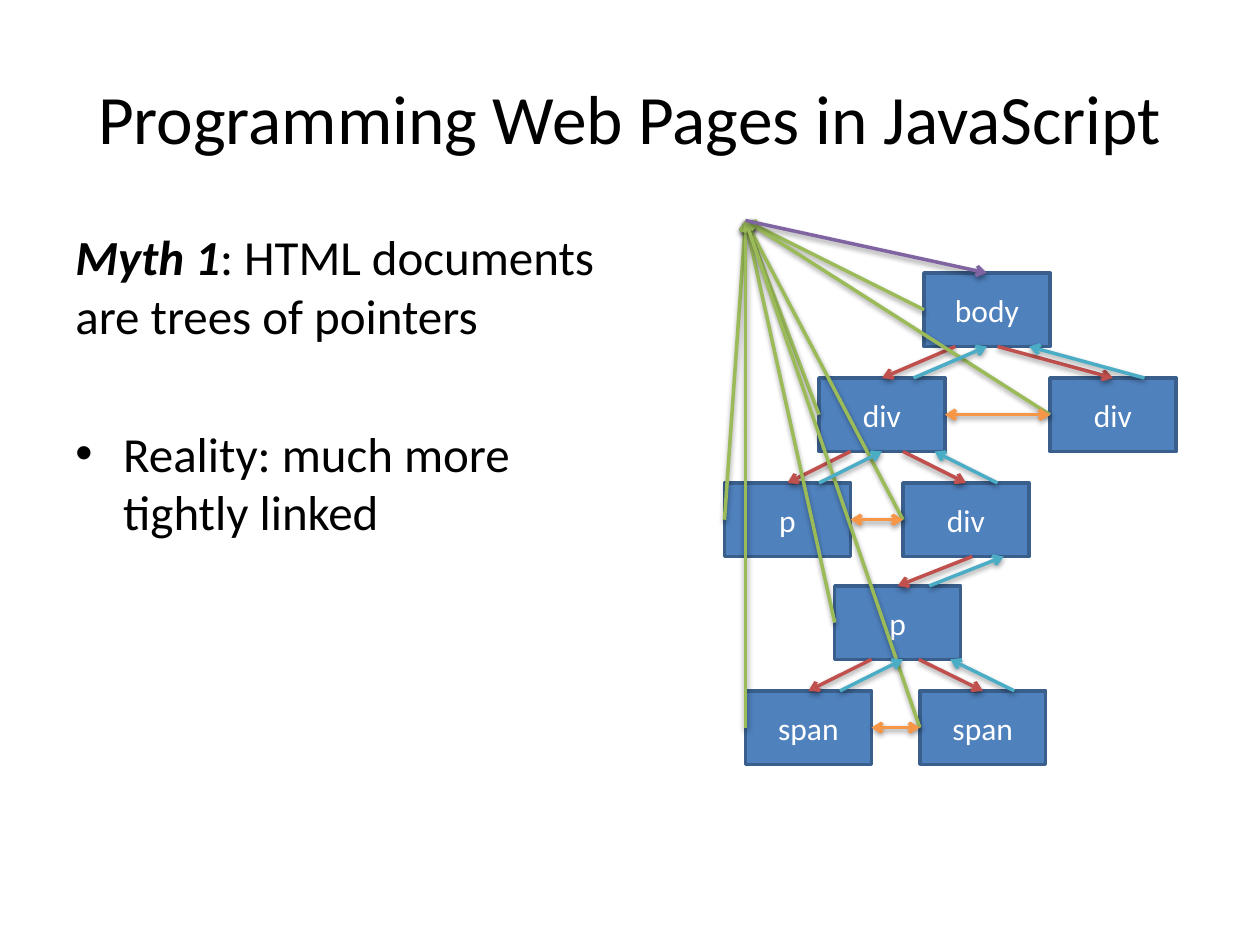
from lxml.etree import SubElement as Sub
from pptx import Presentation
from pptx.dml.color import RGBColor as RGB
from pptx.enum.shapes import MSO_CONNECTOR as LINE, MSO_SHAPE as SHAPE
from pptx.enum.text import MSO_ANCHOR as ANCHOR, PP_ALIGN as ALIGN
from pptx.oxml.ns import qn
from pptx.util import Inches, Pt

COLS, ROWS = 120, 90  # grid over the whole slide
BOX_W, BOX_H = 12, 7
ROOT = (71, 21)  # where all owner links meet
SIDE = 3  # gap from a child link to its parent link
COLORS = {
    "text": "000000", "label": "FFFFFF", "box": "4F81BD", "edge": "3A5F8C",
    "child": "C0504D", "parent": "4BACC6", "owner": "9BBB59",
    "next": "F79646", "start": "8064A2",
}

# name: label, column, row
NODES = {
    "body": ("body", 88, 26),
    "div1": ("div", 78, 36), "div2": ("div", 100, 36),
    "p1": ("p", 69, 46), "div3": ("div", 86, 46),
    "p2": ("p", 79.5, 55.8),
    "span1": ("span", 71, 65.8), "span2": ("span", 87.6, 65.8),
}
# parent, child, columns from the parent's left edge
TREE = [
    ("body", "div1", 3), ("body", "div2", 7),
    ("div1", "p1", 3), ("div1", "div3", 8),
    ("div3", "p2", 6.6),
    ("p2", "span1", 3.5), ("p2", "span2", 8),
]
PEERS = [("div1", "div2"), ("p1", "div3"), ("span1", "span2")]


def tint(name):
    return RGB.from_string(COLORS[name])


def cells(prs, x, y):
    return round(prs.slide_width * x / COLS), round(prs.slide_height * y / ROWS)


def style(para, size, color="text"):
    para.font.name = "Calibri"
    para.font.size = Pt(size)
    para.font.color.rgb = tint(color)


def add_text(prs, slide, x, y, w, h):
    box = slide.shapes.add_textbox(*cells(prs, x, y), *cells(prs, w, h))
    box.text_frame.word_wrap = True
    return box.text_frame


def add_title(prs, slide):
    frame = add_text(prs, slide, 6, 3.6, 108, 15)
    frame.vertical_anchor = ANCHOR.MIDDLE
    para = frame.paragraphs[0]
    para.text = "Programming Web Pages in JavaScript"
    para.alignment = ALIGN.CENTER
    style(para, 39.6)


def add_body(prs, slide):
    frame = add_text(prs, slide, 6, 21, 53, 59.4)
    myth = frame.paragraphs[0]
    style(myth, 28)
    lead = myth.add_run()
    lead.text = "Myth 1"
    lead.font.bold = lead.font.italic = True
    myth.add_run().text = ": HTML documents are trees of pointers"

    fact = frame.add_paragraph()
    fact.text = "Reality: much more tightly linked"
    style(fact, 28)
    fact.space_before = Pt(45)
    props = fact._p.get_or_add_pPr()
    props.set("marL", str(Inches(0.38)))
    props.set("indent", str(Inches(-0.38)))
    Sub(props, qn("a:buFont"), typeface="Arial")
    Sub(props, qn("a:buChar"), char="•")


def add_node(prs, slide, label, x, y):
    box = slide.shapes.add_shape(
        SHAPE.RECTANGLE, *cells(prs, x, y), *cells(prs, BOX_W, BOX_H))
    box.shadow.inherit = False
    box.fill.solid()
    box.fill.fore_color.rgb = tint("box")
    box.line.color.rgb = tint("edge")
    box.line.width = Pt(2)
    box.text_frame.vertical_anchor = ANCHOR.MIDDLE
    para = box.text_frame.paragraphs[0]
    para.text = label
    para.alignment = ALIGN.CENTER
    style(para, 18, "label")
    return box


def add_link(prs, slide, color, start, end, tips=("tailEnd",)):
    """Each end is a grid point, or a box and the number of its side."""
    ends = [(0, 0) if hasattr(e[0], "shape_id") else cells(prs, *e)
            for e in (start, end)]
    link = slide.shapes.add_connector(LINE.STRAIGHT, *ends[0], *ends[1])
    for join, e in ((link.begin_connect, start), (link.end_connect, end)):
        if hasattr(e[0], "shape_id"):
            join(*e)
    link.line.color.rgb = tint(color)
    link.line.width = Pt(2)
    for tip in tips:
        Sub(link.line._get_or_add_ln(), qn("a:" + tip), type="arrow")
    # soft shadow straight below
    glow = Sub(Sub(link._element.spPr, qn("a:effectLst")), qn("a:outerShdw"),
               blurRad=str(Pt(3.1)), dist=str(Pt(1.6)), dir="5400000",
               rotWithShape="0")
    Sub(Sub(glow, qn("a:srgbClr"), val="000000"), qn("a:alpha"), val="38000")


def main():
    prs = Presentation()
    prs.slide_width, prs.slide_height = Inches(10), Inches(7.5)
    slide = prs.slides.add_slide(prs.slide_layouts[6])

    add_title(prs, slide)
    add_body(prs, slide)

    # Document tree
    boxes = {name: add_node(prs, slide, *node) for name, node in NODES.items()}
    for top, kid, off in TREE:
        _, x, y = NODES[top]
        add_link(prs, slide, "child", (x + off, y + BOX_H), (boxes[kid], 0))

    # Links to the document and between siblings
    for box in boxes.values():
        add_link(prs, slide, "owner", (box, 1), ROOT)
    for left, right in PEERS:
        add_link(prs, slide, "next", (boxes[left], 3), (boxes[right], 1),
                 ("headEnd", "tailEnd"))
    add_link(prs, slide, "start", ROOT, (boxes["body"], 0))

    # Links back to the parent, beside each child link
    for top, kid, off in TREE:
        _, x, y = NODES[top]
        _, left, row = NODES[kid]
        add_link(prs, slide, "parent", (x + off + SIDE, y + BOX_H),
                 (left + BOX_W / 2 + SIDE, row), ("headEnd",))

    prs.save("out.pptx")


if __name__ == "__main__":
    main()
